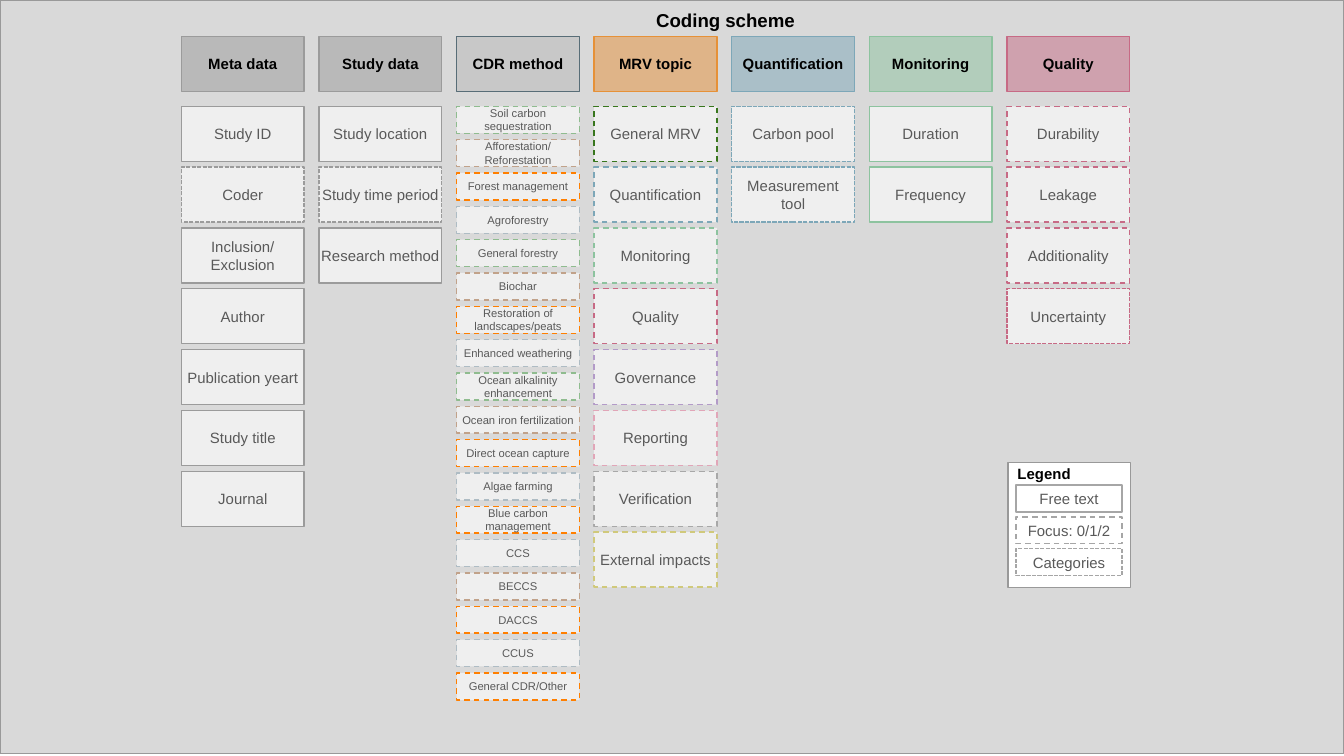
from pptx import Presentation
from pptx.dml.color import RGBColor
from pptx.enum import dml, shapes, text
from pptx.oxml import ns, xmlchemy
from pptx.util import Cm, Pt

# Content: line styles, then columns of (heading, colour, items)
FREE, FOCUS, CATEGORY = None, dml.MSO_LINE.DASH, dml.MSO_LINE.SQUARE_DOT
CATEGORY = "sysDash"
GREY, BLUE, MINT, ROSE = "9B9B9B", "7DA7B8", "8DC39F", "C76A85"
SAGE, TAN, ORANGE, STEEL = "8FBC8F", "C1A28A", "FF7F00", "AEBCC4"

TITLE = "Coding scheme"
COLUMNS = [
    ("Meta data", GREY, [
        ("Study ID", GREY, FREE), ("Coder", GREY, CATEGORY),
        ("Inclusion/ Exclusion", GREY, FREE), ("Author", GREY, FREE),
        ("Publication yeart", GREY, FREE), ("Study title", GREY, FREE),
        ("Journal", GREY, FREE)]),
    ("Study data", GREY, [
        ("Study location", GREY, FREE), ("Study time period", GREY, CATEGORY),
        ("Research method", GREY, FREE)]),
    ("CDR method", "586D77", [
        ("Soil carbon sequestration", SAGE, FOCUS),
        ("Afforestation/ Reforestation", TAN, FOCUS),
        ("Forest management", ORANGE, FOCUS), ("Agroforestry", STEEL, FOCUS),
        ("General forestry", SAGE, FOCUS), ("Biochar", TAN, FOCUS),
        ("Restoration of landscapes/peats", ORANGE, FOCUS),
        ("Enhanced weathering", STEEL, FOCUS),
        ("Ocean alkalinity enhancement", SAGE, FOCUS),
        ("Ocean iron fertilization", TAN, FOCUS),
        ("Direct ocean capture", ORANGE, FOCUS),
        ("Algae farming", STEEL, FOCUS),
        ("Blue carbon management", ORANGE, FOCUS), ("CCS", STEEL, FOCUS),
        ("BECCS", TAN, FOCUS), ("DACCS", ORANGE, FOCUS),
        ("CCUS", STEEL, FOCUS), ("General CDR/Other", ORANGE, FOCUS)]),
    ("MRV topic", "E69138", [
        ("General MRV", "38761D", FOCUS), ("Quantification", BLUE, FOCUS),
        ("Monitoring", MINT, FOCUS), ("Quality", ROSE, FOCUS),
        ("Governance", "B39BC8", FOCUS), ("Reporting", "E1A6B8", FOCUS),
        ("Verification", "A8A8A8", FOCUS),
        ("External impacts", "D0C97B", FOCUS)]),
    ("Quantification", BLUE, [
        ("Carbon pool", BLUE, CATEGORY), ("Measurement tool", BLUE, CATEGORY)]),
    ("Monitoring", MINT, [
        ("Duration", MINT, FREE), ("Frequency", MINT, FREE)]),
    ("Quality", ROSE, [
        ("Durability", ROSE, FOCUS), ("Leakage", ROSE, FOCUS),
        ("Additionality", ROSE, FOCUS), ("Uncertainty", ROSE, CATEGORY)]),
]
LEGEND = [("Free text", FREE), ("Focus: 0/1/2", FOCUS), ("Categories", CATEGORY)]

# Grid in cm
LEFT, COL_STEP, WIDTH = 3.43, 2.6, 2.32
HEAD_TOP, ITEM_TOP = 0.69, 2.01
HEIGHT, STEP = 1.04, 1.15
SMALL_HEIGHT, SMALL_STEP = 0.51, 0.63
SMALL_COLUMN = "CDR method"


def rgb(value):
    return RGBColor.from_string(value)


def write(sp, words, size, color, bold=False, align=text.PP_ALIGN.CENTER,
          anchor=text.MSO_ANCHOR.MIDDLE):
    tf = sp.text_frame
    tf.word_wrap = True
    tf.auto_size = text.MSO_AUTO_SIZE.NONE
    tf.vertical_anchor = anchor
    tf.margin_left = tf.margin_right = tf.margin_top = tf.margin_bottom = Cm(0.03)
    p = tf.paragraphs[0]
    p.alignment = align
    r = p.add_run()
    r.text = words
    r.font.name, r.font.size, r.font.bold = "Arial", Pt(size), bold
    r.font.color.rgb = rgb(color)


def box(x, y, w, h, fill, line, dash=None, alpha=None):
    sp = s.shapes.add_shape(shapes.MSO_SHAPE.RECTANGLE, Cm(x), Cm(y), Cm(w), Cm(h))
    sp.shadow.inherit = False
    if fill:
        sp.fill.solid()
        sp.fill.fore_color.rgb = rgb(fill)
    else:
        sp.fill.background()
    if alpha:
        clr = sp.element.spPr.find(ns.qn("a:solidFill"))[0]
        xmlchemy.OxmlElement("a:alpha")
        etree_alpha = xmlchemy.OxmlElement("a:alpha")
        etree_alpha.set("val", str(alpha * 1000))
        clr.append(etree_alpha)
    sp.line.color.rgb = rgb(line)
    sp.line.width = Pt(0.75)
    if dash == CATEGORY:
        ln = xmlchemy.OxmlElement("a:prstDash")
        ln.set("val", CATEGORY)
        sp.element.spPr.find(ns.qn("a:ln")).append(ln)
    elif dash:
        sp.line.dash_style = dash
    return sp


prs = Presentation()
prs.slide_width, prs.slide_height = Cm(25.4), Cm(14.29)
s = prs.slides.add_slide(prs.slide_layouts[5])

# Backdrop, with the title brought in front of it
box(0, 0, 25.4, 14.25, "D9D9D9", "999999")
title = s.shapes.title
title.left, title.top, title.width, title.height = Cm(5.8), Cm(0.05), Cm(15.82), Cm(0.64)
write(title, TITLE, 10, "000000", bold=True)
title.element.getparent().append(title.element)

# Columns
for col, (heading, color, items) in enumerate(COLUMNS):
    x = LEFT + col * COL_STEP
    small = heading == SMALL_COLUMN
    fill, alpha = ("C8C8C8", None) if small else (color, 50)
    sp = box(x, HEAD_TOP, WIDTH, HEIGHT, fill, color, alpha=alpha)
    write(sp, heading, 8, "000000", bold=True)
    h, step, size = (SMALL_HEIGHT, SMALL_STEP, 6) if small else (HEIGHT, STEP, 8)
    for row, (label, line, dash) in enumerate(items):
        sp = box(x, ITEM_TOP + row * step, WIDTH, h, "EFEFEF", line, dash)
        write(sp, label, size, "595959")

# Legend
box(19.05, 8.74, WIDTH, 2.37, "FFFFFF", "999999")
sp = s.shapes.add_textbox(Cm(19.2), Cm(8.76), Cm(2.16), Cm(0.51))
write(sp, "Legend", 8, "000000", True, text.PP_ALIGN.LEFT, text.MSO_ANCHOR.TOP)
for row, (label, dash) in enumerate(LEGEND):
    sp = box(19.2, 9.17 + row * 0.6, 2.01, SMALL_HEIGHT, None, "A6A6A6", dash)
    write(sp, label, 8, "595959")

prs.save("out.pptx")
